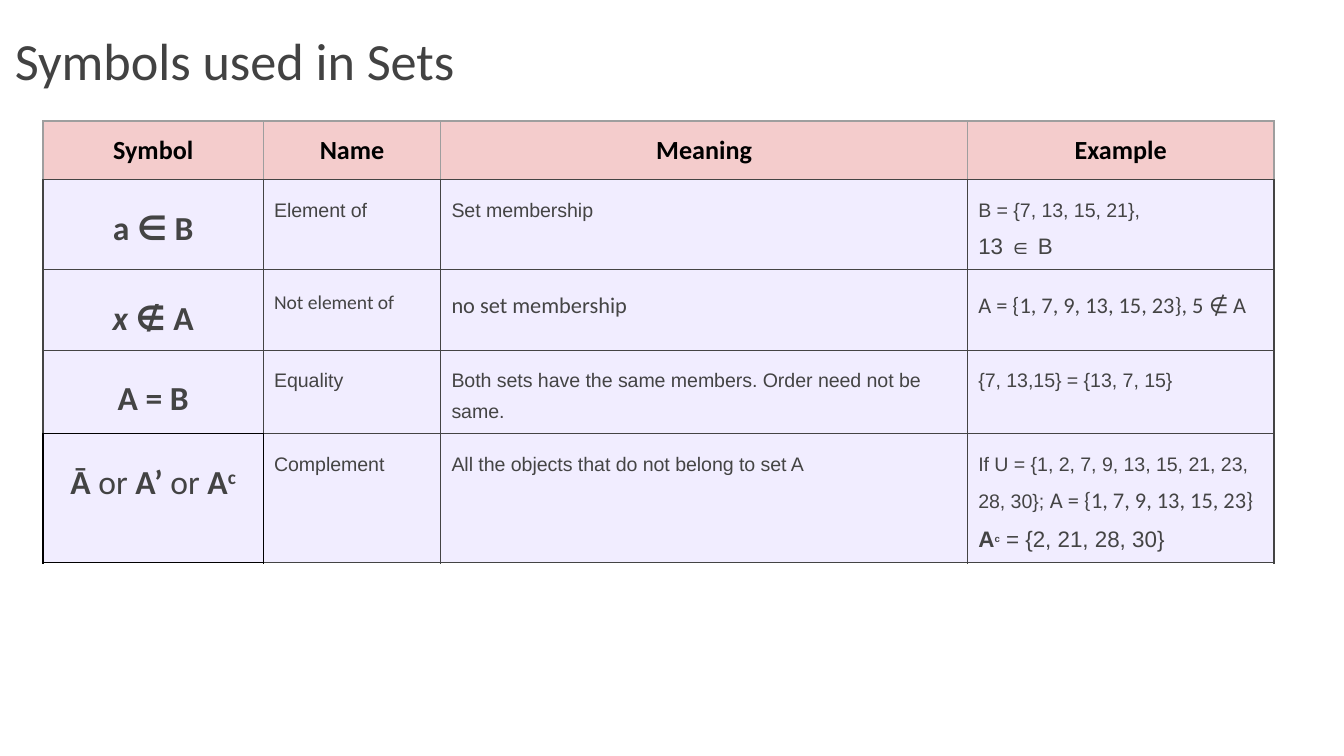
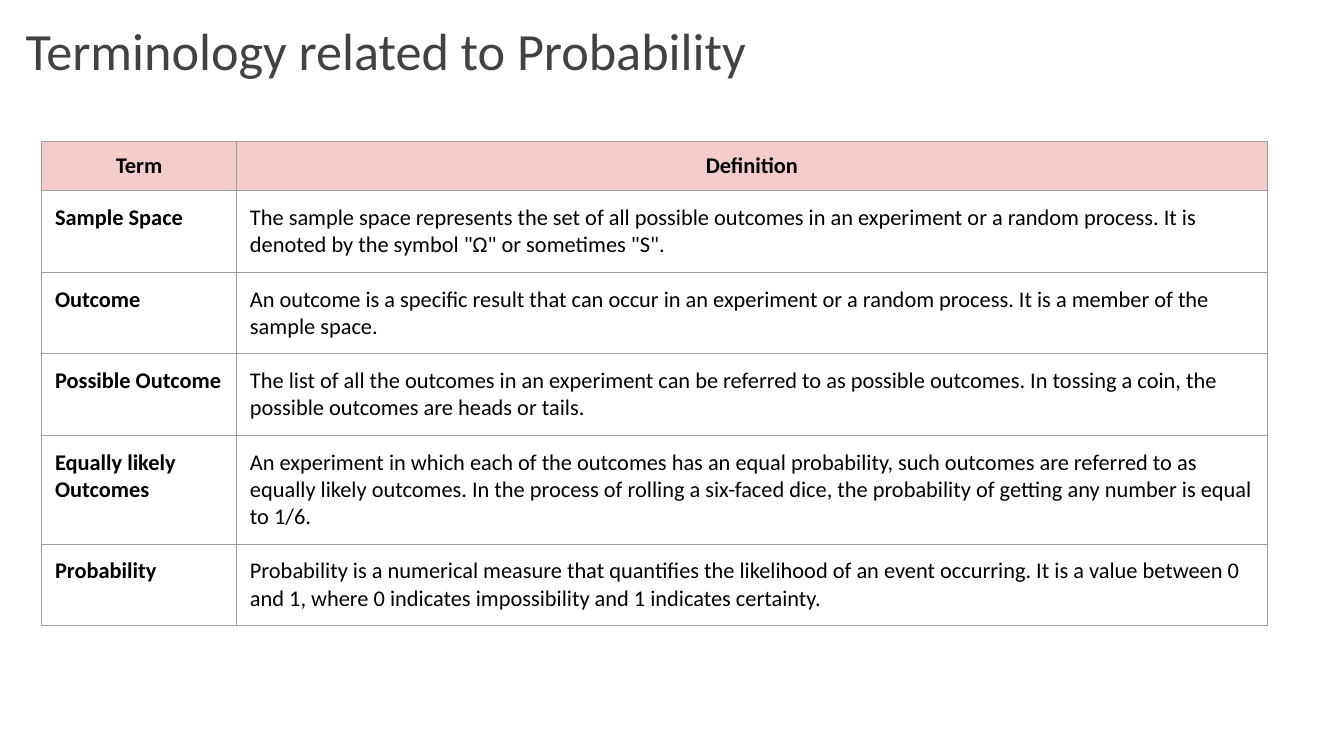
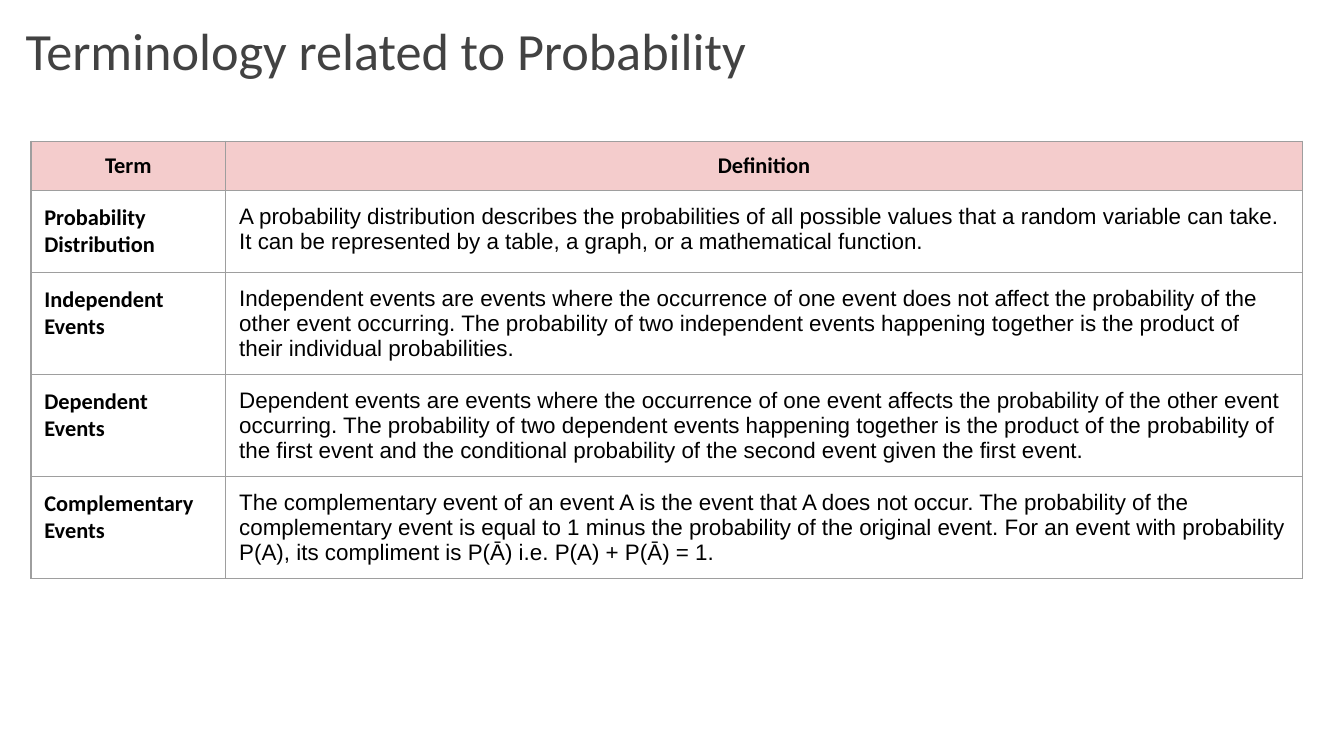
from dataclasses import dataclass

from lxml import etree
from pptx import Presentation
from pptx import util as u
from pptx.dml.color import RGBColor
from pptx.enum import text
from pptx.oxml.ns import qn


@dataclass(frozen=True)
class Theme:
    heading_font: str = "Calibri"
    body_font: str = "Arial"
    title: str = "424242"
    symbol: str = "434343"
    body: str = "444444"
    black: str = "000000"
    white: str = "FFFFFF"
    header_fill: str = "F4CCCC"
    symbol_fill: str = "F1EDFF"
    light_edge: str = "9E9E9E"
    light_width: float = 0.75
    dark_width: float = 0.68
    title_size: float = 28
    symbol_size: float = 18
    header_size: float = 14
    text_size: float = 12
    small_size: float = 10.5
    superscript_size: float = 9


THEME = Theme()
GRID_COLUMNS = 100
SIDES = {"left": "a:lnL", "right": "a:lnR", "top": "a:lnT", "bottom": "a:lnB"}


def add_text(paragraph, content, font=THEME.heading_font, size=THEME.text_size,
             color=THEME.black, bold=False, italic=False, raised=False):
    run = paragraph.add_run()
    run.text = content
    run.font.name = font
    run.font.size = u.Pt(size)
    run.font.bold = bold
    run.font.italic = italic
    run.font.color.rgb = RGBColor.from_string(color)
    if raised:
        run.font._element.set("baseline", "30000")


def add_edge(cell, side, color, width):
    properties = cell._tc.get_or_add_tcPr()
    line = etree.SubElement(properties, qn(SIDES[side]), w=str(u.Pt(width)))
    fill = etree.SubElement(line, qn("a:solidFill"))
    etree.SubElement(fill, qn("a:srgbClr"), val=color)


class Deck:
    def __init__(self, theme):
        self.theme = theme
        self.presentation = Presentation()
        self.presentation.slide_width = u.Inches(10)
        self.presentation.slide_height = self.presentation.slide_width * 9 // 16
        self.slide = None

    def grid(self, units):
        return round(self.presentation.slide_width * units / GRID_COLUMNS)

    def title(self, content, left, top, width, height=6.3):
        self.slide = self.presentation.slides.add_slide(self.presentation.slide_layouts[5])
        shape = self.slide.shapes.title
        shape.left, shape.top, shape.width, shape.height = map(
            self.grid, (left, top, width, height))
        shape.fill.solid()
        shape.fill.fore_color.rgb = RGBColor.from_string(self.theme.white)
        frame = shape.text_frame
        frame.word_wrap = True
        frame.auto_size = text.MSO_AUTO_SIZE.NONE
        frame.vertical_anchor = text.MSO_ANCHOR.BOTTOM
        frame.margin_left = frame.margin_right = self.grid(1)
        frame.margin_top = frame.margin_bottom = self.grid(1)
        paragraph = frame.paragraphs[0]
        paragraph.alignment = text.PP_ALIGN.LEFT
        paragraph.line_spacing = 1.15
        paragraph.space_after = u.Pt(16)
        add_text(paragraph, content, size=self.theme.title_size, color=self.theme.title)

    def table(self, left, top, widths, heights):
        frame = self.slide.shapes.add_table(
            len(heights), len(widths),
            *map(self.grid, (left, top, sum(widths), sum(heights))))
        table = frame.table
        table.first_row = table.horz_banding = False
        for column, width in zip(table.columns, widths):
            column.width = self.grid(width)
        for row, height in zip(table.rows, heights):
            row.height = self.grid(height)
        return table

    def cell(self, cell, paragraphs, fill=None, edge=THEME.light_edge,
             edge_width=THEME.light_width, edges=None, margin=1, centered=False,
             anchor=text.MSO_ANCHOR.TOP, spacings=(None,), **style):
        for side in SIDES:
            color, width = (edges or {}).get(side, (edge, edge_width))
            add_edge(cell, side, color, width)
        if fill:
            cell.fill.solid()
            cell.fill.fore_color.rgb = RGBColor.from_string(fill)
        else:
            cell.fill.background()
        cell.margin_left = cell.margin_right = self.grid(margin)
        cell.margin_top = cell.margin_bottom = self.grid(margin)
        cell.vertical_anchor = anchor
        frame = cell.text_frame
        for index, (runs, spacing) in enumerate(zip(paragraphs, spacings)):
            paragraph = frame.add_paragraph() if index else frame.paragraphs[0]
            paragraph.alignment = text.PP_ALIGN.CENTER if centered else text.PP_ALIGN.LEFT
            if spacing:
                paragraph.line_spacing = spacing
            for content, changes in runs:
                add_text(paragraph, content, **{**style, **changes})

    def header(self, table, labels, **options):
        for cell, label in zip(table.rows[0].cells, labels):
            self.cell(cell, [[(label, {})]], fill=self.theme.header_fill,
                      centered=True, bold=True, **options)

    def glossary(self, left, definition_width, entries, font):
        self.title("Terminology related to Probability", 0.9, 0.7, 93.2)
        table = self.table(left, 10.5, [14.5, definition_width],
                           [3.7] + [3.2] * len(entries))
        self.header(table, ["Term", "Definition"], margin=0, anchor=text.MSO_ANCHOR.MIDDLE)
        for row, (term, definition) in enumerate(entries, 1):
            self.cell(table.cell(row, 0), [[(term, {})]], fill=self.theme.white, bold=True)
            self.cell(table.cell(row, 1), [[(definition, {})]], font=font)

    def symbols(self, headings, rows):
        theme = self.theme
        dark, black = [(color, theme.dark_width) for color in (theme.body, theme.black)]
        self.title("Symbols used in Sets", 0.1, 1.5, 94.8)
        table = self.table(3.2, 9, [16.4, 13.2, 39.2, 22.8], [4.2] * (len(rows) + 1))
        self.header(table, headings, size=theme.header_size, edges={"bottom": dark})
        last = len(rows)
        black_edges = {
            (last - 1, 0): {"bottom": black},
            (last, 0): dict.fromkeys(SIDES, black),
            (last, 1): {"left": black},
        }
        for row, contents in enumerate(rows, 1):
            for column, paragraphs in enumerate(contents):
                is_symbol = column == 0
                self.cell(
                    table.cell(row, column), paragraphs, fill=theme.symbol_fill,
                    edge=theme.body, edge_width=theme.dark_width,
                    edges=black_edges.get((row, column)), margin=0.8,
                    spacings=(1.43, 1.5), centered=is_symbol, bold=is_symbol,
                    font=theme.heading_font if is_symbol else theme.body_font,
                    size=theme.symbol_size if is_symbol else theme.small_size,
                    color=theme.body)


def plain(content, **style):
    return [[(content, style)]]


CALIBRI = {"font": THEME.heading_font}
CALIBRI_TEXT = {"font": THEME.heading_font, "size": THEME.text_size}
LARGER = {"size": THEME.text_size}
SYMBOL = {"color": THEME.symbol}
SYMBOL_PLAIN = {"color": THEME.symbol, "bold": False}

SYMBOL_ROWS = [
    [plain("a ∈ B"), plain("Element of"), plain("Set membership"),
     [[("B = {7, 13, 15, 21},", {})], [("13 ∈ B", LARGER)]]],
    [[[("x ", {"italic": True}), ("∉ A", {})]],
     plain("Not element of", **CALIBRI),
     plain("no set membership", **CALIBRI_TEXT),
     plain("A = {1, 7, 9, 13, 15, 23}, 5 ∉ A", **CALIBRI_TEXT)],
    [plain("A = B"), plain("Equality"),
     plain("Both sets have the same members. Order need not be same."),
     plain("{7, 13,15} = {13, 7, 15}")],
    [[[("Ā ", SYMBOL), ("or ", SYMBOL_PLAIN), ("A’ ", SYMBOL), ("or", SYMBOL_PLAIN),
       (" A", SYMBOL), ("c", {**SYMBOL, "raised": True})]],
     plain("Complement"),
     plain("All the objects that do not belong to set A"),
     [[("If U = {1, 2, 7, 9, 13, 15, 21, 23, 28, 30}; ", {}),
       ("A = {1, 7, 9, 13, 15, 23}", CALIBRI_TEXT)],
      [("A", {**LARGER, "bold": True}),
       ("c", {"size": THEME.superscript_size, "bold": True, "raised": True}),
       (" = {2, 21, 28, 30}", LARGER)]]],
]

BASIC_TERMS = [
    ("Sample Space",
     "The sample space represents the set of all possible outcomes in an experiment or a "
     "random process. It is denoted by the symbol \"Ω\" or sometimes \"S\"."),
    ("Outcome",
     "An outcome is a specific result that can occur in an experiment or a random process. "
     "It is a member of the sample space."),
    ("Possible Outcome",
     "The list of all the outcomes in an experiment can be referred to as possible outcomes. "
     "In tossing a coin, the possible outcomes are heads or tails."),
    ("Equally likely Outcomes",
     "An experiment in which each of the outcomes has an equal probability, such outcomes are "
     "referred to as equally likely outcomes. In the process of rolling a six-faced dice, the "
     "probability of getting any number is equal to 1/6."),
    ("Probability",
     "Probability is a numerical measure that quantifies the likelihood of an event occurring. "
     "It is a value between 0 and 1, where 0 indicates impossibility and 1 indicates certainty."),
]

EVENT_TERMS = [
    ("Probability Distribution",
     "A probability distribution describes the probabilities of all possible values that a "
     "random variable can take. It can be represented by a table, a graph, or a mathematical "
     "function."),
    ("Independent Events",
     "Independent events are events where the occurrence of one event does not affect the "
     "probability of the other event occurring. The probability of two independent events "
     "happening together is the product of their individual probabilities."),
    ("Dependent Events",
     "Dependent events are events where the occurrence of one event affects the probability of "
     "the other event occurring. The probability of two dependent events happening together is "
     "the product of the probability of the first event and the conditional probability of the "
     "second event given the first event."),
    ("Complementary Events",
     "The complementary event of an event A is the event that A does not occur. The probability "
     "of the complementary event is equal to 1 minus the probability of the original event. For "
     "an event with probability P(A), its compliment is P(Ā) i.e. P(A) + P(Ā) = 1."),
]


def main():
    deck = Deck(THEME)
    deck.symbols(["Symbol", "Name", "Meaning", "Example"], SYMBOL_ROWS)
    deck.glossary(3.1, 76.7, BASIC_TERMS, THEME.heading_font)
    deck.glossary(2.3, 80.1, EVENT_TERMS, THEME.body_font)
    deck.presentation.save("out.pptx")


if __name__ == "__main__":
    main()
